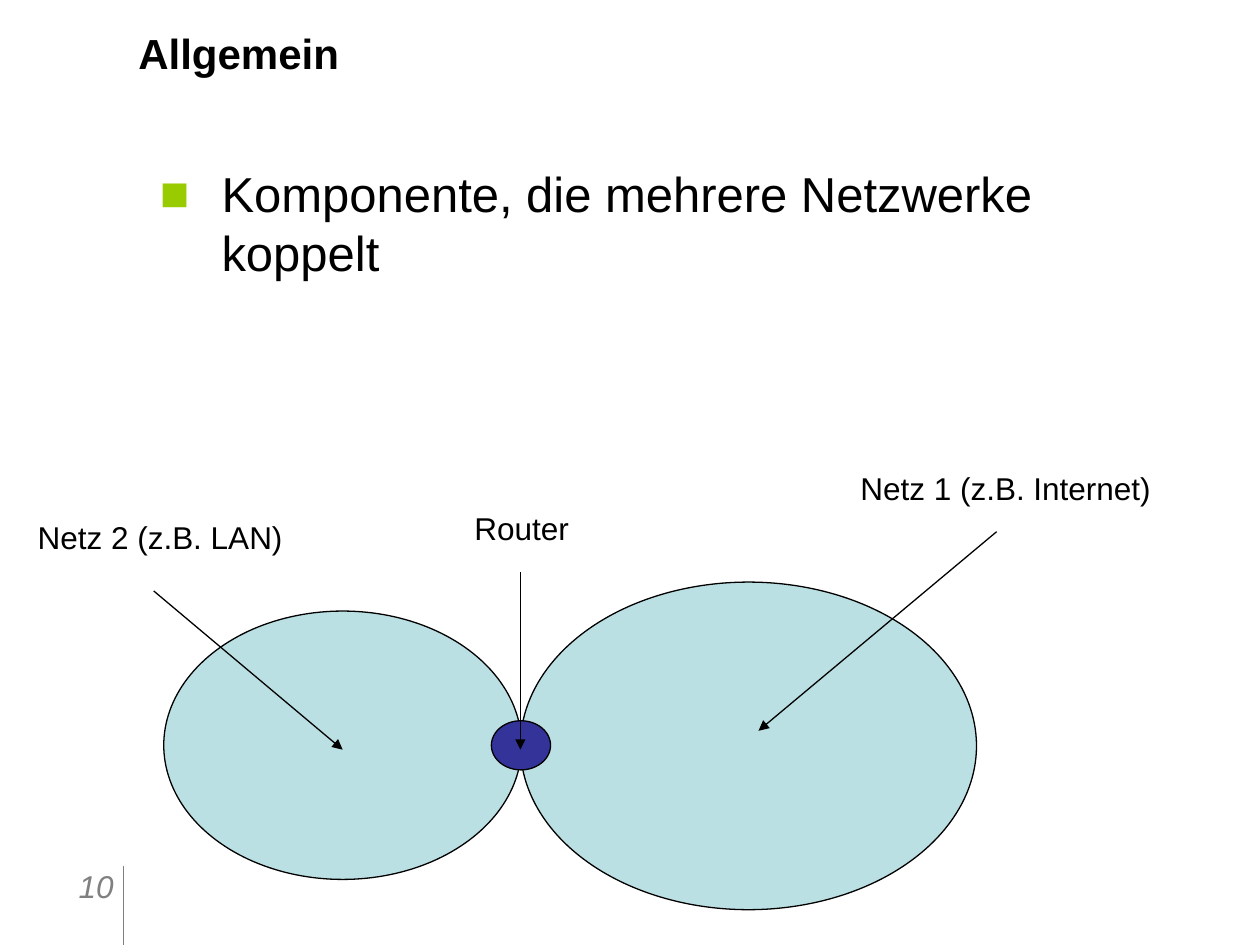
from dataclasses import dataclass, field

import pptx
import pptx.dml.color
import pptx.enum.shapes
import pptx.enum.text
import pptx.oxml
import pptx.oxml.ns
import pptx.util
from lxml import etree

SLIDE_WIDTH = pptx.util.Inches(10)
SLIDE_HEIGHT = pptx.util.Inches(7.5)
COLUMNS, ROWS = 100, 75
BLACK, GRAY, NETWORK_BLUE, ROUTER_BLUE = "000000", "808080", "BBE0E3", "333399"
BULLET_GREEN = "99CC00"
LABEL_WIDTH, LABEL_HEIGHT = 26.8, 4
ALIGN = pptx.enum.text.PP_ALIGN
ANCHOR = pptx.enum.text.MSO_ANCHOR


@dataclass
class Box:
    column: float
    row: float
    columns: float
    rows: float


@dataclass
class Ellipse:
    box: Box
    fill: str


@dataclass
class Line:
    start: tuple[float, float]
    end: tuple[float, float]
    color: str = BLACK
    arrow: bool = True


@dataclass
class Text:
    words: str
    box: Box
    size: float = 18
    color: str = BLACK
    font: dict = field(default_factory=dict)
    paragraph: dict = field(default_factory=dict)
    frame: dict = field(default_factory=dict)
    bullet: bool = False


def across(columns: float) -> int:
    return round(SLIDE_WIDTH * columns / COLUMNS)


def down(rows: float) -> int:
    return round(SLIDE_HEIGHT * rows / ROWS)


def place(box: Box) -> tuple[int, int, int, int]:
    return across(box.column), down(box.row), across(box.columns), down(box.rows)


def rgb(color: str) -> pptx.dml.color.RGBColor:
    return pptx.dml.color.RGBColor.from_string(color)


def apply_format(target: object, values: dict) -> None:
    for name, value in values.items():
        setattr(target, name, value)


def add_element(parent: etree._Element, tag: str, **attributes: str) -> etree._Element:
    return etree.SubElement(parent, pptx.oxml.ns.qn(tag), attributes)


def style_line(line: pptx.dml.line.LineFormat, color: str) -> None:
    line.width = pptx.util.Pt(0.75)
    line.color.rgb = rgb(color)


def draw_ellipse(slide: pptx.slide.Slide, ellipse: Ellipse) -> None:
    shape = slide.shapes.add_shape(
        pptx.enum.shapes.MSO_SHAPE.OVAL, *place(ellipse.box)
    )
    shape.shadow.inherit = False
    shape.fill.solid()
    shape.fill.fore_color.rgb = rgb(ellipse.fill)
    style_line(shape.line, BLACK)


def draw_line(slide: pptx.slide.Slide, line: Line) -> None:
    (start_column, start_row), (end_column, end_row) = line.start, line.end
    connector = slide.shapes.add_connector(
        pptx.enum.shapes.MSO_CONNECTOR.STRAIGHT,
        across(start_column), down(start_row), across(end_column), down(end_row),
    )
    style_line(connector.line, line.color)
    if line.arrow:
        add_element(connector.line._get_or_add_ln(), "a:tailEnd", type="triangle")
    add_element(connector._element.spPr, "a:effectLst")


def add_bullet(paragraph: pptx.text.text._Paragraph) -> None:
    properties = paragraph._p.get_or_add_pPr()
    indent = pptx.util.Inches(0.49)
    properties.set("marL", str(indent))
    properties.set("indent", str(-indent))
    color = add_element(properties, "a:buClr")
    add_element(color, "a:srgbClr", val=BULLET_GREEN)
    add_element(properties, "a:buFont", typeface="Arial")
    add_element(properties, "a:buChar", char="■")


def draw_text(slide: pptx.slide.Slide, text: Text) -> None:
    frame = slide.shapes.add_textbox(*place(text.box)).text_frame
    apply_format(frame, {"word_wrap": True, **text.frame})
    paragraph = frame.paragraphs[0]
    apply_format(paragraph, text.paragraph)
    if text.bullet:
        add_bullet(paragraph)
    run = paragraph.add_run()
    run.text = text.words
    font = {"name": "Arial", "size": pptx.util.Pt(text.size), **text.font}
    apply_format(run.font, font)
    run.font.color.rgb = rgb(text.color)


def label(words: str, column: float, row: float, alignment: ALIGN = ALIGN.LEFT) -> Text:
    return Text(
        words,
        Box(column, row, LABEL_WIDTH, LABEL_HEIGHT),
        paragraph={"alignment": alignment, "space_before": pptx.util.Pt(11.2)},
        frame={"auto_size": pptx.enum.text.MSO_AUTO_SIZE.SHAPE_TO_FIT_TEXT},
    )


ELLIPSES = [
    Ellipse(Box(13, 48.5, 28.4, 21.3), NETWORK_BLUE),
    Ellipse(Box(41.3, 46.2, 36.2, 26), NETWORK_BLUE),
    Ellipse(Box(39, 57.2, 4.7, 3.9), ROUTER_BLUE),
]
LINES = [
    Line((9.8, 68.7), (9.8, ROWS), GRAY, arrow=False),
    Line((12.2, 46.9), (27.2, 59.5)),
    Line((41.3, 45.4), (41.3, 59.5)),
    Line((79.1, 42.2), (60.2, 58)),
]
TEXTS = [
    Text("Allgemein", Box(10, 0, 85, 8.3), 24, font={"bold": True},
         frame={"vertical_anchor": ANCHOR.MIDDLE}),
    Text("Komponente, die mehrere Netzwerke koppelt", Box(11.7, 12.5, 78.3, 24.5), 28,
         paragraph={"space_before": pptx.util.Pt(7)}, bullet=True),
    label("Netz 1 (z.B. Internet)", 67.3, 36.7),
    label("Netz 2 (z.B. LAN)", 2, 40.6),
    label("Router", 28, 39.9, ALIGN.CENTER),
    Text("10", Box(2.5, 68.3, 7.5, 5.2), color=GRAY, font={"italic": True},
         paragraph={"alignment": ALIGN.RIGHT}),
]


def main() -> None:
    presentation = pptx.Presentation()
    apply_format(presentation, {"slide_width": SLIDE_WIDTH, "slide_height": SLIDE_HEIGHT})
    slide = presentation.slides.add_slide(presentation.slide_layouts[6])
    for ellipse in ELLIPSES:
        draw_ellipse(slide, ellipse)
    for line in LINES:
        draw_line(slide, line)
    for text in TEXTS:
        draw_text(slide, text)
    presentation.save("out.pptx")


if __name__ == "__main__":
    main()
